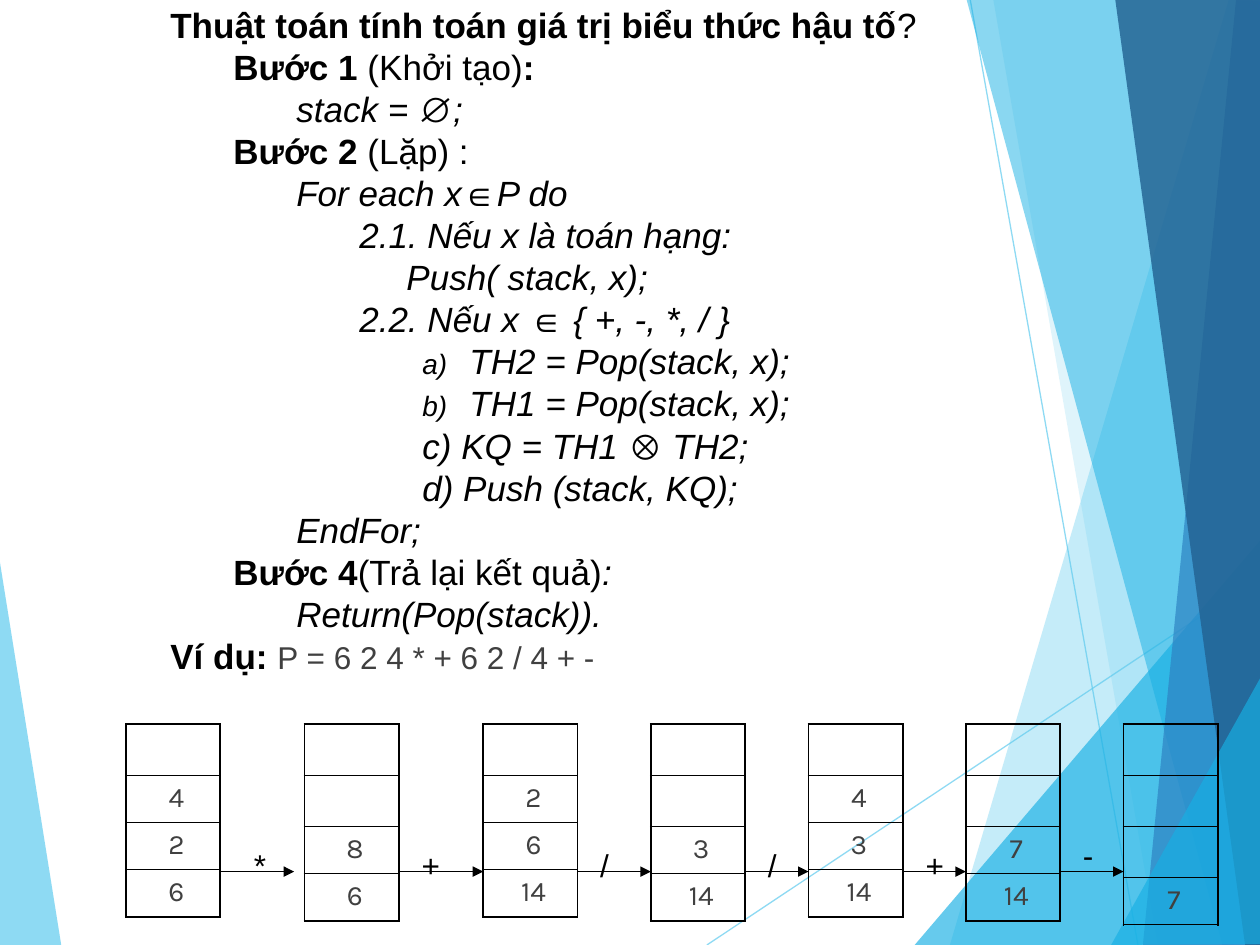
from lxml import etree
from pptx import Presentation
from pptx import util as u
from pptx.dml import color
from pptx.enum import shapes, text
from pptx.oxml import ns

rgb = color.RGBColor.from_string


def add_xml(parent, tag, **attributes):
    child = etree.SubElement(parent, ns.qn(tag))
    for name, value in attributes.items():
        child.set(name, str(value))
    return child


def write(para, words, font="Arial", size=20, colour="000000", bold=False, italic=False):
    span = para.add_run()
    span.text = words
    span.font.name = font
    span.font.size = u.Pt(size)
    span.font.color.rgb = rgb(colour)
    span.font.bold = bold
    span.font.italic = italic


deck = Presentation()
deck.slide_width, deck.slide_height = u.Cm(25.4), u.Cm(19.05)
page = deck.slides.add_slide(deck.slide_layouts[1])
title = page.shapes.title._element
title.getparent().remove(title)

# Background facets: colour, opacity in percent, corners in cm
facets = [
    ("5FCBEF", 70, [(-0.03, 11.15), (1.24, 19.08), (-0.03, 19.05)]),
    ("5FCBEF", 36, [(24.77, 0), (19.15, 19.05), (25.45, 19.08), (25.43, 0.03)]),
    ("5FCBEF", 20, [(20.02, -0.03), (23.34, 19.05), (25.43, 19.05), (25.43, -0.03)]),
    ("17B0E4", 66, [(18.44, 19.05), (25.4, 10.9), (25.43, 19.05)]),
    ("17B0E4", 50, [(19.48, -0.03), (24.64, 19.05), (25.43, 19.02), (25.43, -0.03)]),
    ("2E83C3", 70, [(24.92, -0.03), (23.04, 19.05), (25.43, 19.05), (25.4, -0.03)]),
    ("236292", 82, [(22.48, -0.03), (25.1, 19.05), (25.45, 19.05), (25.4, -0.03)]),
    ("17B0E4", 66, [(22.4, 19.05), (25.45, 13.59), (25.45, 19.03)]),
]
rays = [(14.25, 19.05, 25.43, 11.61), (19.56, 0, 22.94, 19.05)]
backdrop = page.shapes.add_group_shape()
for ends in rays:
    ray = backdrop.shapes.add_connector(
        shapes.MSO_CONNECTOR.STRAIGHT, *[u.Cm(value) for value in ends])
    ray.line.color.rgb = rgb("5FCBEF")
    ray.line.width = u.Pt(0.75)
    properties = ray._element.spPr
    add_xml(properties.find(".//" + ns.qn("a:srgbClr")), "a:alpha", val=70000)
    add_xml(properties, "a:effectLst")
for colour, opacity, corners in facets:
    points = [(u.Cm(x), u.Cm(y)) for x, y in corners]
    builder = backdrop.shapes.build_freeform(*points[0])
    builder.add_line_segments(points[1:], close=True)
    facet = builder.convert_to_shape()
    facet.shadow.inherit = False
    facet.fill.solid()
    facet.fill.fore_color.rgb = rgb(colour)
    facet.line.fill.background()
    add_xml(facet._element.spPr.find(".//" + ns.qn("a:srgbClr")), "a:alpha", val=opacity * 1000)

# Algorithm: level, numbered or not, spans with their format
strong, slanted = {"bold": True}, {"italic": True}
steps = [
    (0, False, [("Thuật toán tính toán giá trị biểu thức hậu tố", strong), ("?", {})]),
    (1, False, [("Bước 1 ", strong), ("(Khởi tạo)", {}), (":", strong)]),
    (2, False, [("stack = ∅;", slanted)]),
    (1, False, [("Bước 2", strong), (" (Lặp) :", {})]),
    (2, False, [("For each x∈P do", slanted)]),
    (3, False, [("2.1. Nếu x là toán hạng:", slanted)]),
    (3, False, [("\tPush( stack, x);", slanted)]),
    (3, False, [("2.2. Nếu x ∈ { +, -, *, / }", slanted)]),
    (4, True, [("TH2 = Pop(stack, x);", slanted)]),
    (4, True, [("TH1 = Pop(stack, x);", slanted)]),
    (4, False, [("c) KQ = TH1 ⊗ TH2;", slanted)]),
    (4, False, [("d) Push (stack, KQ);", slanted)]),
    (2, False, [("EndFor;", slanted)]),
    (1, False, [("Bước 4", strong), ("(Trả lại kết quả)", {}), (":", slanted)]),
    (2, False, [("Return(Pop(stack)).", slanted)]),
    (0, False, [("Ví dụ: ", strong),
                ("P = 6 2 4 * + 6 2 / 4 + -", {"size": 18, "colour": "404040"})]),
]
body = page.placeholders[1]
page.shapes._spTree.append(body._element)
body.left, body.top, body.width, body.height = u.Cm(3.18), u.Cm(-0.05), u.Cm(20.12), u.Cm(13.82)
frame = body.text_frame
frame.word_wrap = True
frame.auto_size = text.MSO_AUTO_SIZE.NONE
frame.vertical_anchor = text.MSO_ANCHOR.TOP
for index, (level, numbered, spans) in enumerate(steps):
    para = frame.add_paragraph() if index else frame.paragraphs[0]
    layout = para._p.get_or_add_pPr()
    layout.set("marL", str(u.Cm(0.95 + 1.27 * level)))
    layout.set("indent", str(u.Cm(-0.95)))
    if numbered:
        add_xml(add_xml(layout, "a:buClr"), "a:srgbClr", val="000000")
        add_xml(layout, "a:buSzPct", val=80000)
        add_xml(layout, "a:buFont", typeface="Arial")
        add_xml(layout, "a:buAutoNum", type="alphaLcParenR")
    else:
        add_xml(layout, "a:buNone")
    para.level = level
    para.space_before = para.space_after = u.Pt(0)
    para.line_spacing = u.Pt(24)
    for words, style in spans:
        write(para, words, **style)

# Stack states: left edge in cm, values from top to bottom
stacks = [
    (2.54, ["", "4", "2", "6"]),
    (6.14, ["", "", "8", "6"]),
    (9.74, ["", "2", "6", "14"]),
    (13.12, ["", "", "3", "14"]),
    (16.3, ["", "4", "3", "14"]),
    (19.47, ["", "", "7", "14"]),
    (22.65, ["", "", "", "7"]),
]
stack_width, row_height = 1.9, 0.95
for left, values in stacks:
    table = page.shapes.add_table(
        len(values), 1, u.Cm(left), u.Cm(14.6),
        u.Cm(stack_width), u.Cm(row_height * len(values))).table
    table.first_row = table.horz_banding = False
    for row, value in enumerate(values):
        cell = table.cell(row, 0)
        edges = {"L": 1.08, "R": 1.08, "T": 0.45 if row else 1.08,
                 "B": 0.45 if row < len(values) - 1 else 1.08}
        for side, width in edges.items():
            edge = add_xml(cell._tc.get_or_add_tcPr(), "a:ln" + side, w=u.Pt(width))
            add_xml(add_xml(edge, "a:solidFill"), "a:srgbClr", val="000000")
        cell.fill.background()
        if value:
            para = cell.text_frame.paragraphs[0]
            para._p.get_or_add_pPr().set("marL", str(u.Cm(0.13)))
            para.alignment = text.PP_ALIGN.CENTER
            para.space_after = u.Pt(3)
            write(para, value, font="Karla", size=16, colour="404040")

# Operators between stacks: symbol, gap before it, top, gap after the arrow
operators = [
    ("*", 0.43, 16.93, 0.21),
    ("+", 0.21, 16.93, 0),
    ("/", 0.21, 16.93, 0),
    ("/", 0.21, 16.93, 0),
    ("+", 0.21, 16.93, 0),
    ("-", 0.21, 16.72, 0),
]
for (left, _), (target, _), (symbol, gap, top, rest) in zip(stacks, stacks[1:], operators):
    start = left + stack_width
    box = page.shapes.add_textbox(u.Cm(start + gap), u.Cm(top), u.Cm(1.06), u.Cm(1.02))
    box.text_frame.word_wrap = True
    write(box.text_frame.paragraphs[0], symbol, size=18)
    arrow = page.shapes.add_connector(
        shapes.MSO_CONNECTOR.STRAIGHT, u.Cm(start), u.Cm(17.57), u.Cm(target - rest), u.Cm(17.57))
    arrow.line.color.rgb = rgb("000000")
    arrow.line.width = u.Pt(0.75)
    add_xml(arrow._element.spPr.find(ns.qn("a:ln")), "a:tailEnd", type="triangle")
    add_xml(arrow._element.spPr, "a:effectLst")

deck.save("out.pptx")
